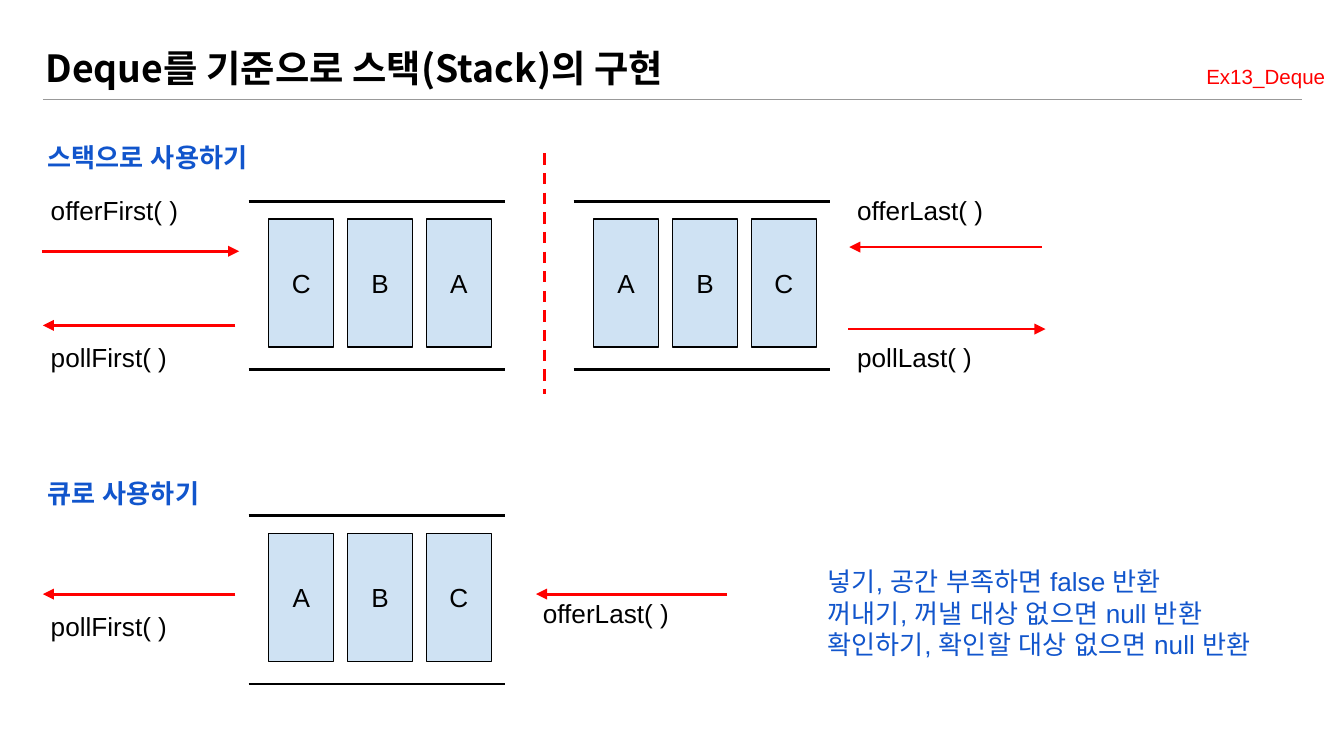
from dataclasses import dataclass

from lxml import etree
from pptx import Presentation
from pptx.dml.color import RGBColor
from pptx.enum.dml import MSO_LINE
from pptx.enum.shapes import MSO_CONNECTOR, MSO_SHAPE
from pptx.enum.text import MSO_ANCHOR, MSO_AUTO_SIZE, PP_ALIGN
from pptx.oxml.ns import qn
from pptx.util import Cm, Pt

LEFT, CENTER, RIGHT = PP_ALIGN.LEFT, PP_ALIGN.CENTER, PP_ALIGN.RIGHT
TOP, MIDDLE = MSO_ANCHOR.TOP, MSO_ANCHOR.MIDDLE
NO_FIT = MSO_AUTO_SIZE.NONE
STRAIGHT = MSO_CONNECTOR.STRAIGHT
RECT = MSO_SHAPE.RECTANGLE
DASH = MSO_LINE.DASH
TITLE_ONLY = 5


@dataclass(frozen=True)
class Theme:
    black: str = "000000"
    gray: str = "999999"
    red: str = "FF0000"
    blue: str = "1155CC"
    cell: str = "CFE2F3"
    title_font: str = "Noto Sans CJK KR"
    body_font: str = "Arial"
    title_size: int = 20
    body_size: int = 14
    tag_size: int = 11
    thin: float = 0.75
    thick: float = 1.5
    inset: float = 0.25


class Deck:
    def __init__(self, prs, theme):
        self.theme = theme
        self.s = prs.slides.add_slide(prs.slide_layouts[TITLE_ONLY])

    def set_text(self, sp, text, size=None, color=None, font=None, bold=False,
                 align=LEFT, anchor=TOP, spacing=1.0):
        t = self.theme
        tf = sp.text_frame
        inset = Cm(t.inset)
        frame = {"word_wrap": True, "auto_size": NO_FIT, "vertical_anchor": anchor,
                 "margin_left": inset, "margin_right": inset,
                 "margin_top": inset, "margin_bottom": inset}
        for name, value in frame.items():
            setattr(tf, name, value)
        tf.text = text
        p = tf.paragraphs[0]
        p.alignment, p.line_spacing = align, spacing
        face = font or t.body_font
        style = {"name": face, "size": Pt(size or t.body_size), "bold": bold}
        for r in p.runs:
            for name, value in style.items():
                setattr(r.font, name, value)
            r.font.color.rgb = RGBColor.from_string(color or t.black)
            latin = r._r.rPr.find(qn("a:latin"))
            latin.addnext(etree.Element(qn("a:ea"), typeface=face))

    def title(self, text, x, y, w, h):
        sp = self.s.shapes.title
        box = {"left": x, "top": y, "width": w, "height": h}
        for name, value in box.items():
            setattr(sp, name, Cm(value))
        self.set_text(sp, text, self.theme.title_size, font=self.theme.title_font, bold=True)

    def text(self, text, x, y, w=3.45, h=1.12, **style):
        sp = self.s.shapes.add_textbox(Cm(x), Cm(y), Cm(w), Cm(h))
        self.set_text(sp, text, **style)

    def heading(self, text, y):
        self.text(text, 0.64, y, 8.33, color=self.theme.blue, bold=True, spacing=1.15)

    def line(self, x1, y1, x2, y2, color, width=None, dash=None, arrow=False):
        c = self.s.shapes.add_connector(STRAIGHT, Cm(x1), Cm(y1), Cm(x2), Cm(y2))
        c.line.color.rgb = RGBColor.from_string(color)
        c.line.width = Pt(width or self.theme.thick)
        if dash:
            c.line.dash_style = dash
        sp_pr = c._element.spPr
        if arrow:
            etree.SubElement(sp_pr.find(qn("a:ln")), qn("a:tailEnd"), type="triangle")
        etree.SubElement(sp_pr, qn("a:effectLst"))

    def arrow(self, x1, x2, y):
        self.line(x1, y, x2, y, self.theme.red, arrow=True)

    def cell(self, text, x, y, w=1.23, h=2.42):
        sp = self.s.shapes.add_shape(RECT, Cm(x), Cm(y), Cm(w), Cm(h))
        sp.shadow.inherit = False
        sp.fill.solid()
        sp.fill.fore_color.rgb = RGBColor.from_string(self.theme.cell)
        sp.line.color.rgb = RGBColor.from_string(self.theme.black)
        sp.line.width = Pt(self.theme.thin)
        self.set_text(sp, text, align=CENTER, anchor=MIDDLE)

    def deque(self, items, x, y):
        for i, item in enumerate(items):
            self.cell(item, x + 0.38 + 1.49 * i, y + 0.33)
        for rail in (y, y + 3.18):
            self.line(x, rail, x + 4.85, rail, self.theme.black)


def main():
    prs = Presentation()
    prs.slide_width, prs.slide_height = Cm(25.4), Cm(14.29)
    theme = Theme()
    deck = Deck(prs, theme)

    deck.title("Deque를 기준으로 스택(Stack)의 구현", 0.61, 0.61, 20.88, 1.37)
    deck.line(0.81, 1.88, 24.61, 1.88, theme.gray, theme.thin)
    deck.text("Ex13_Deque", 16.97, 0.89, 8.33, 0.99, size=theme.tag_size,
              color=theme.red, align=RIGHT, spacing=1.15)

    deck.heading("스택으로 사용하기", 2.34)
    deck.heading("큐로 사용하기", 8.69)

    for items, x, y in (("CBA", 4.7, 3.81), ("ABC", 10.84, 3.81), ("ABC", 4.7, 9.75)):
        deck.deque(items, x, y)
    deck.line(10.29, 2.9, 10.29, 7.44, theme.red, dash=DASH)

    for x1, x2, y in ((0.79, 4.52, 4.75), (4.45, 0.81, 6.15),
                      (19.69, 16.05, 4.67), (16.03, 19.76, 6.22),
                      (4.45, 0.81, 11.23), (13.74, 10.13, 11.23)):
        deck.arrow(x1, x2, y)

    for label, x, y in (("offerFirst( )", 0.71, 3.43), ("pollFirst( )", 0.71, 6.2),
                        ("offerLast( )", 15.95, 3.43), ("pollLast( )", 15.95, 6.2),
                        ("pollFirst( )", 0.71, 11.28), ("offerLast( )", 10.01, 11.05)):
        deck.text(label, x, y)

    notes = ("넣기, 공간 부족하면 false 반환",
             "꺼내기, 꺼낼 대상 없으면 null 반환",
             "확인하기, 확인할 대상 없으면 null 반환")
    deck.text("\v".join(notes), 15.39, 10.44, 8.66, 2.18, color=theme.blue)

    prs.save("out.pptx")


if __name__ == "__main__":
    main()
